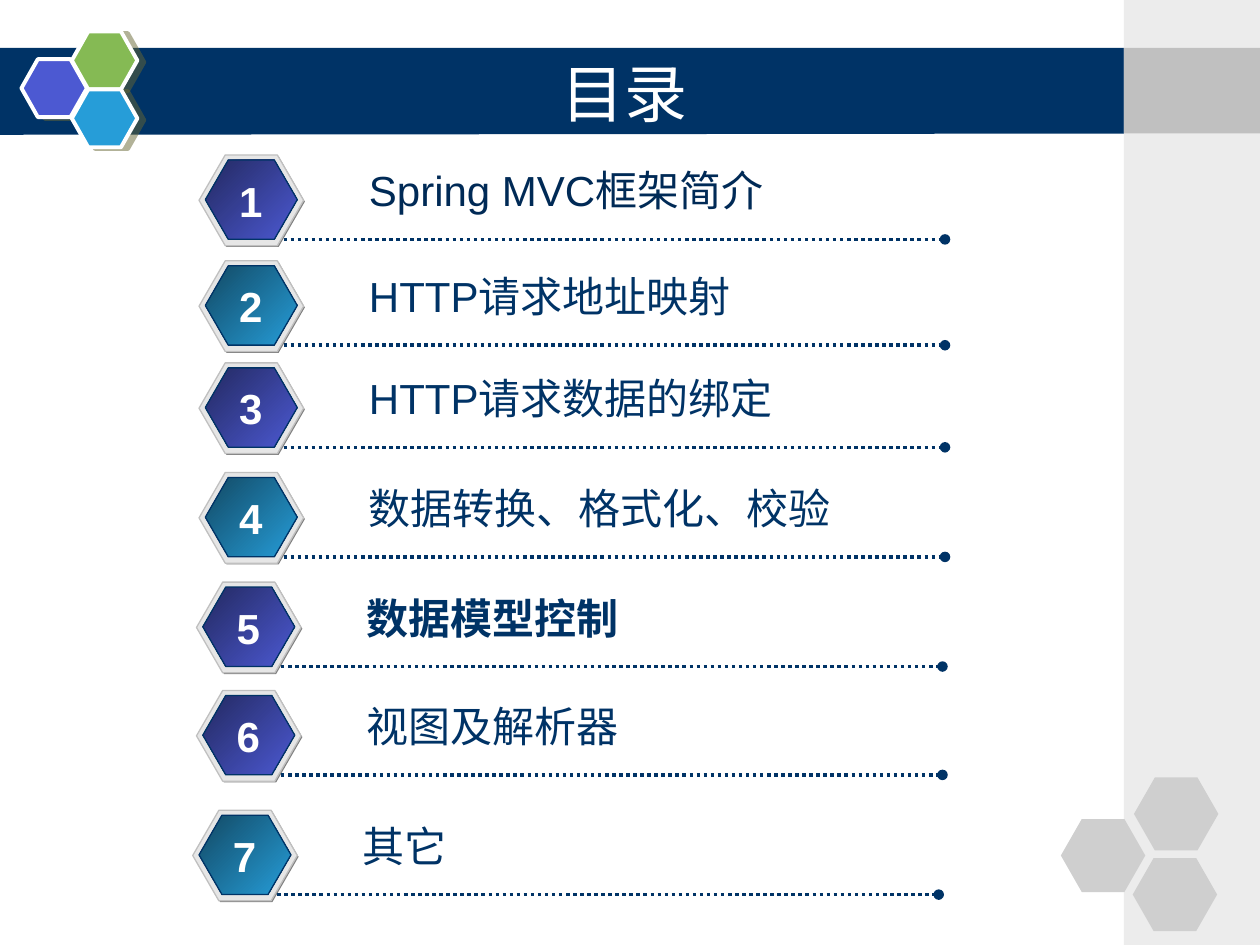
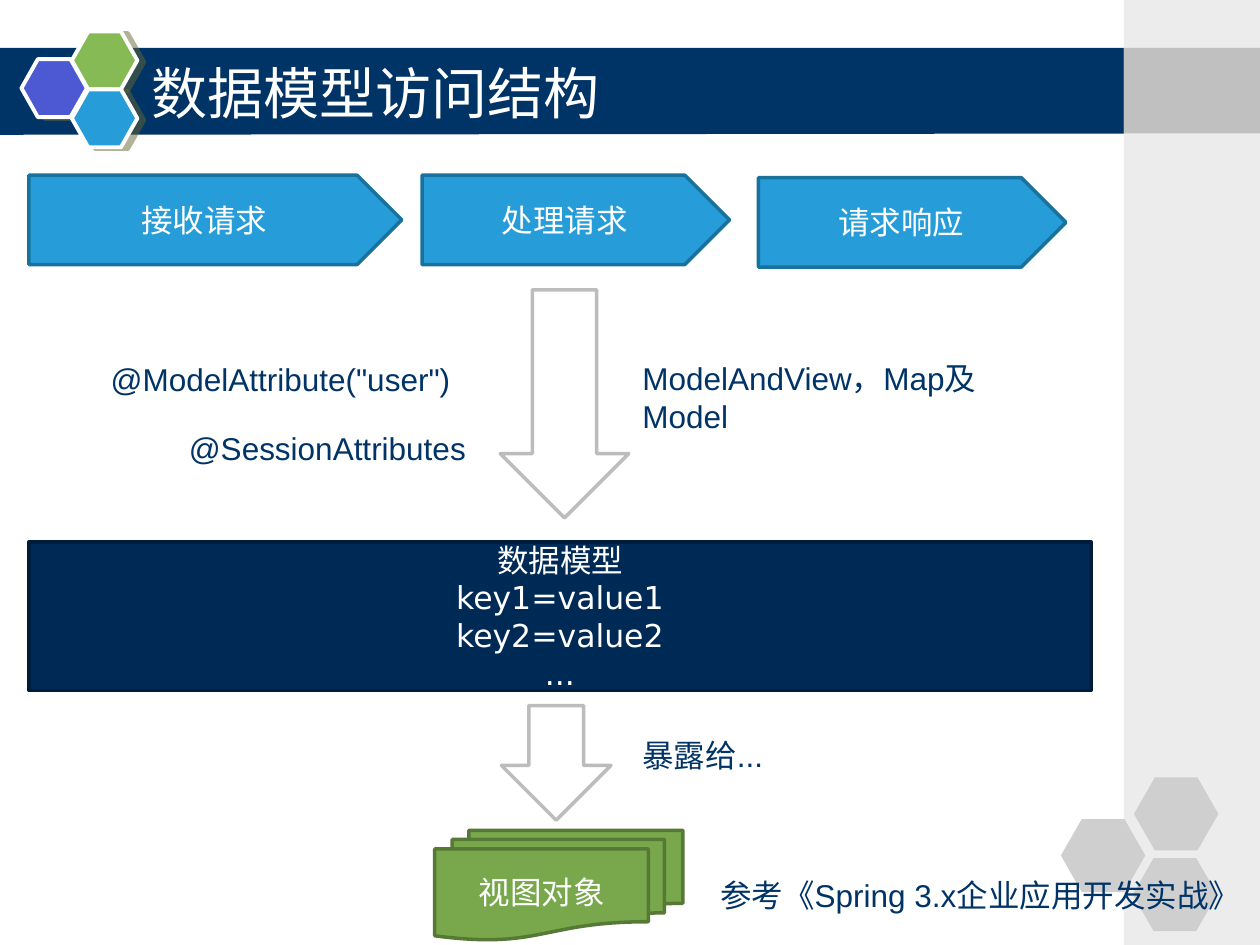
import pptx
import pptx.dml.color
import pptx.enum.dml
import pptx.enum.shapes
import pptx.enum.text
import pptx.oxml
import pptx.oxml.ns
import pptx.util

PX = 9144
RGB = pptx.dml.color.RGBColor
PRESET = pptx.enum.shapes.MSO_SHAPE
ALIGN = pptx.enum.text.PP_ALIGN
ANCHOR = pptx.enum.text.MSO_ANCHOR
NAMESPACE = pptx.oxml.ns.nsdecls("a")

NAVY = RGB(0x00, 0x33, 0x66)
DEEP_NAVY = RGB(0x00, 0x2A, 0x56)
NAVY_EDGE = RGB(0x00, 0x1C, 0x3D)
INDIGO = RGB(0x4C, 0x59, 0xD2)
DARK_INDIGO = RGB(0x23, 0x29, 0x61)
SKY = RGB(0x26, 0x9D, 0xD8)
DARK_SKY = RGB(0x12, 0x49, 0x64)
SKY_EDGE = RGB(0x19, 0x72, 0x9E)
LIME = RGB(0x85, 0xBA, 0x54)
GREEN = RGB(0x78, 0xA8, 0x4B)
GREEN_EDGE = RGB(0x56, 0x7A, 0x35)
WHITE = RGB(0xFF, 0xFF, 0xFF)
PALE = RGB(0xEC, 0xEC, 0xEC)
PLATE = RGB(0xE6, 0xE6, 0xE6)
LIGHT_GRAY = RGB(0xCF, 0xCF, 0xCF)
SILVER = RGB(0xC0, 0xC0, 0xC0)
ARROW_EDGE = RGB(0xBC, 0xBC, 0xBC)
GRAY = RGB(0x80, 0x80, 0x80)


def draw(slide, preset, box, fill, edge=None, width=2, adjustment=None, fill_end=None):
    shape = slide.shapes.add_shape(preset, *[PX * length for length in box])
    shape.shadow.inherit = False
    if adjustment is not None:
        shape.adjustments[0] = adjustment
    if fill_end is None:
        shape.fill.solid()
        shape.fill.fore_color.rgb = fill
    else:
        shape.fill.gradient()
        shape.fill.gradient_angle = 315
        for stop, color in zip(shape.fill.gradient_stops, (fill, fill_end)):
            stop.color.rgb = color
    if edge is None:
        shape.line.fill.background()
    else:
        shape.line.color.rgb = edge
        shape.line.width = pptx.util.Pt(width)
    return shape


def write(text, slide=None, box=None, shape=None, size=18, font="Arial", color=NAVY,
          bold=False, align=ALIGN.LEFT, anchor=ANCHOR.TOP, wrap=True):
    if shape is None:
        shape = slide.shapes.add_textbox(*[PX * length for length in box])
    frame = shape.text_frame
    frame.word_wrap = wrap
    frame.vertical_anchor = anchor
    frame.text = text
    for paragraph in frame.paragraphs:
        paragraph.alignment = align
        paragraph.font.size = pptx.util.Pt(size)
        paragraph.font.name = font
        paragraph.font.color.rgb = color
        paragraph.font.bold = bold


presentation = pptx.Presentation()
presentation.slide_width = 1000 * PX
presentation.slide_height = 750 * PX

SHAPE_LABEL = dict(font="DejaVu Sans", color=WHITE, align=ALIGN.CENTER, anchor=ANCHOR.MIDDLE)

titles = [
    ("目录", (125, 42, 742, 62), 36, ALIGN.CENTER),
    ("数据模型访问结构", (110, 42, 862, 62), 32, ALIGN.LEFT),
]
for title, title_box, title_size, title_align in titles:
    slide = presentation.slides.add_slide(presentation.slide_layouts[6])

    outline = slide.shapes.build_freeform(-3, 38, scale=PX)
    outline.add_line_segments([(894, 38), (893, 106), (-3, 107)], close=True)
    band = outline.convert_to_shape()
    band.shadow.inherit = False
    band.fill.solid()
    band.fill.fore_color.rgb = NAVY
    band.line.fill.background()

    for left, top, color in [(17, 47, INDIGO), (57, 25, LIME), (57, 71, SKY)]:
        emblem = draw(slide, PRESET.HEXAGON, (left, top, 52, 46), color, WHITE, 2.25, 0.283)
        effects = emblem._element.spPr.find(pptx.oxml.ns.qn("a:effectLst"))
        effects.append(pptx.oxml.parse_xml(
            f'<a:outerShdw {NAMESPACE} blurRad="0" dist="52070" dir="840000" algn="ctr" '
            'rotWithShape="0"><a:srgbClr val="666633"><a:alpha val="50000"/></a:srgbClr>'
            '</a:outerShdw>'))

    draw(slide, PRESET.RECTANGLE, (892, 0, 108, 750), PALE)
    draw(slide, PRESET.RECTANGLE, (892, 38, 108, 68), SILVER)
    for left, top in [(842, 650), (900, 617), (899, 681)]:
        draw(slide, PRESET.HEXAGON, (left, top, 67, 58), LIGHT_GRAY, adjustment=0.286)

    write(title, slide, title_box, size=title_size, font="DejaVu Sans", color=WHITE,
          align=title_align, anchor=ANCHOR.MIDDLE)

contents_slide, model_slide = presentation.slides

indigo_face = (DARK_INDIGO, INDIGO)
sky_face = (DARK_SKY, SKY)
chapters = [
    ("Spring MVC框架简介", 158, 123, indigo_face, DEEP_NAVY, False),
    ("HTTP请求地址映射", 158, 207, sky_face, NAVY, False),
    ("HTTP请求数据的绑定", 158, 288, indigo_face, NAVY, False),
    ("数据转换、格式化、校验", 158, 375, sky_face, NAVY, False),
    ("数据模型控制", 156, 462, indigo_face, NAVY, True),
    ("视图及解析器", 156, 548, indigo_face, NAVY, False),
    ("其它", 153, 643, sky_face, NAVY, False),
]
for number, (chapter, left, top, face, color, bold) in enumerate(chapters, 1):
    draw(contents_slide, PRESET.HEXAGON, (left + 1, top + 1, 83, 72), GRAY, adjustment=0.289)
    draw(contents_slide, PRESET.HEXAGON, (left, top, 83, 72), PLATE, SILVER, 0.75, 0.289)
    draw(contents_slide, PRESET.HEXAGON, (left + 5, top + 4, 73, 63), face[0], NAVY, 0.75,
         0.289, fill_end=face[1])

    ends = (left + 67, top + 67, left + 592, top + 67)
    rule = contents_slide.shapes.add_connector(
        pptx.enum.shapes.MSO_CONNECTOR.STRAIGHT, *[PX * length for length in ends])
    rule.line.color.rgb = NAVY
    rule.line.width = pptx.util.Pt(2)
    rule.line.dash_style = pptx.enum.dml.MSO_LINE.ROUND_DOT
    rule.line._get_or_add_ln().append(
        pptx.oxml.parse_xml(f'<a:tailEnd {NAMESPACE} type="oval"/>'))
    rule._element.spPr.append(pptx.oxml.parse_xml(f"<a:effectLst {NAMESPACE}/>"))

    write(chapter, contents_slide, (left + 125, top + 3, 464, 50), size=24, color=color, bold=bold)
    write(str(number), contents_slide, (left + 22, top + 11, 38, 50), size=24, color=WHITE,
          bold=True, align=ALIGN.CENTER, wrap=False)

model = draw(model_slide, PRESET.RECTANGLE, (23, 430, 843, 118), DEEP_NAVY, NAVY_EDGE)
write("数据模型\nkey1=value1\nkey2=value2\n...", shape=model, **SHAPE_LABEL)

stages = [
    ("接收请求", (23, 139, 296, 71)),
    ("处理请求", (335, 139, 244, 71)),
    ("请求响应", (602, 141, 244, 71)),
]
for label, box in stages:
    stage = draw(model_slide, PRESET.PENTAGON, box, SKY, SKY_EDGE, adjustment=0.5)
    write(label, shape=stage, **SHAPE_LABEL)

for box in [(397, 230, 102, 181), (398, 560, 87, 91)]:
    draw(model_slide, PRESET.DOWN_ARROW, box, WHITE, ARROW_EDGE)

view = draw(model_slide, PRESET.FLOWCHART_MULTIDOCUMENT, (345, 659, 197, 87), GREEN, GREEN_EDGE)
write("视图对象", shape=view, **SHAPE_LABEL)

captions = [
    ('@ModelAttribute("user")', (78, 281, 299, 40), ALIGN.LEFT),
    ("@SessionAttributes", (140, 336, 299, 40), ALIGN.LEFT),
    ("ModelAndView，Map及Model", (500, 280, 299, 70), ALIGN.LEFT),
    ("暴露给...", (500, 579, 126, 40), ALIGN.LEFT),
    ("参考《Spring 3.x企业应用开发实战》", (426, 690, 568, 40), ALIGN.RIGHT),
]
for caption, box, align in captions:
    write(caption, model_slide, box, align=align)

presentation.save("out.pptx")
